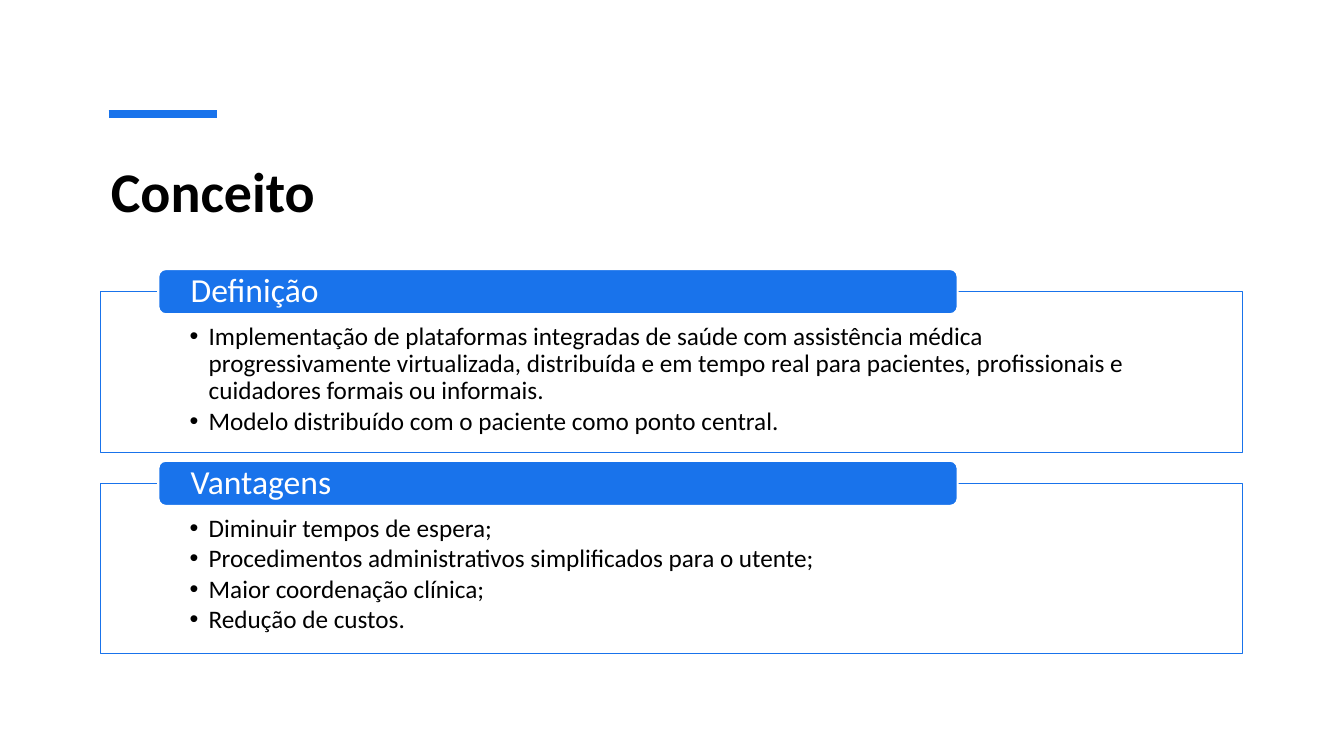
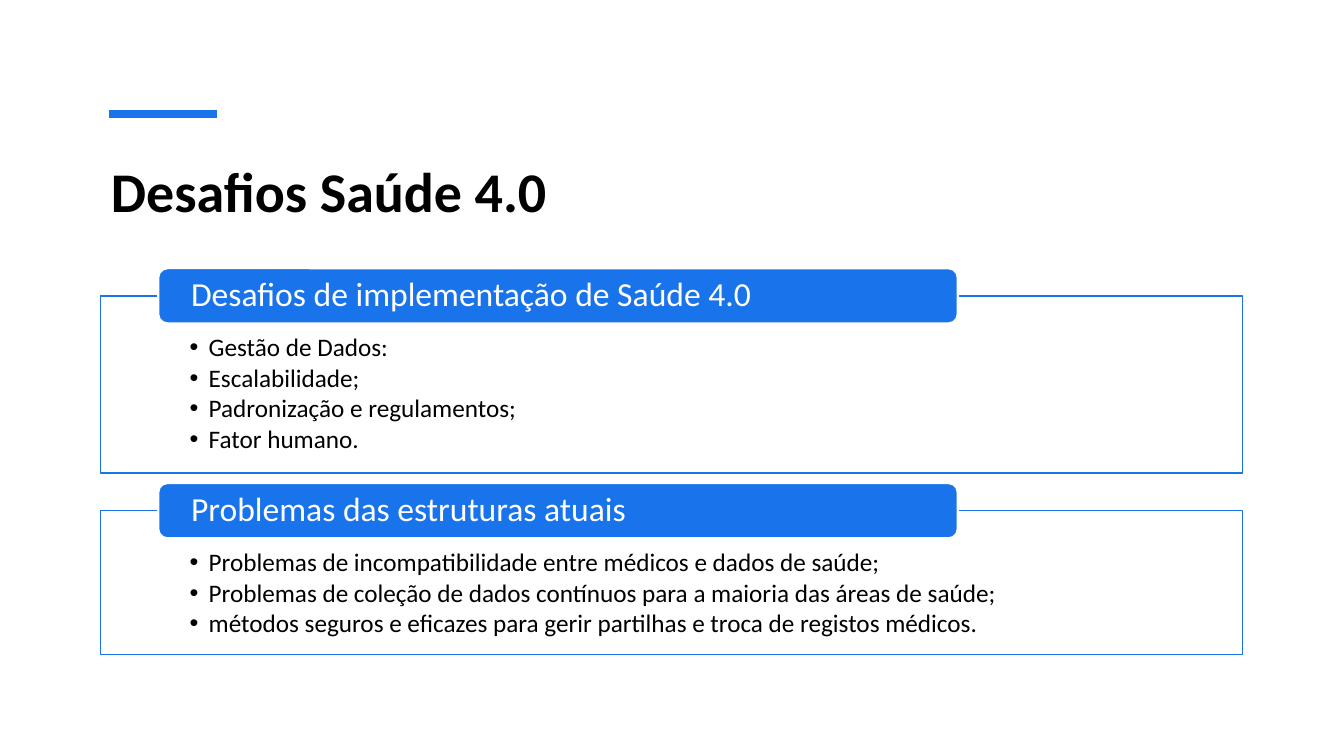
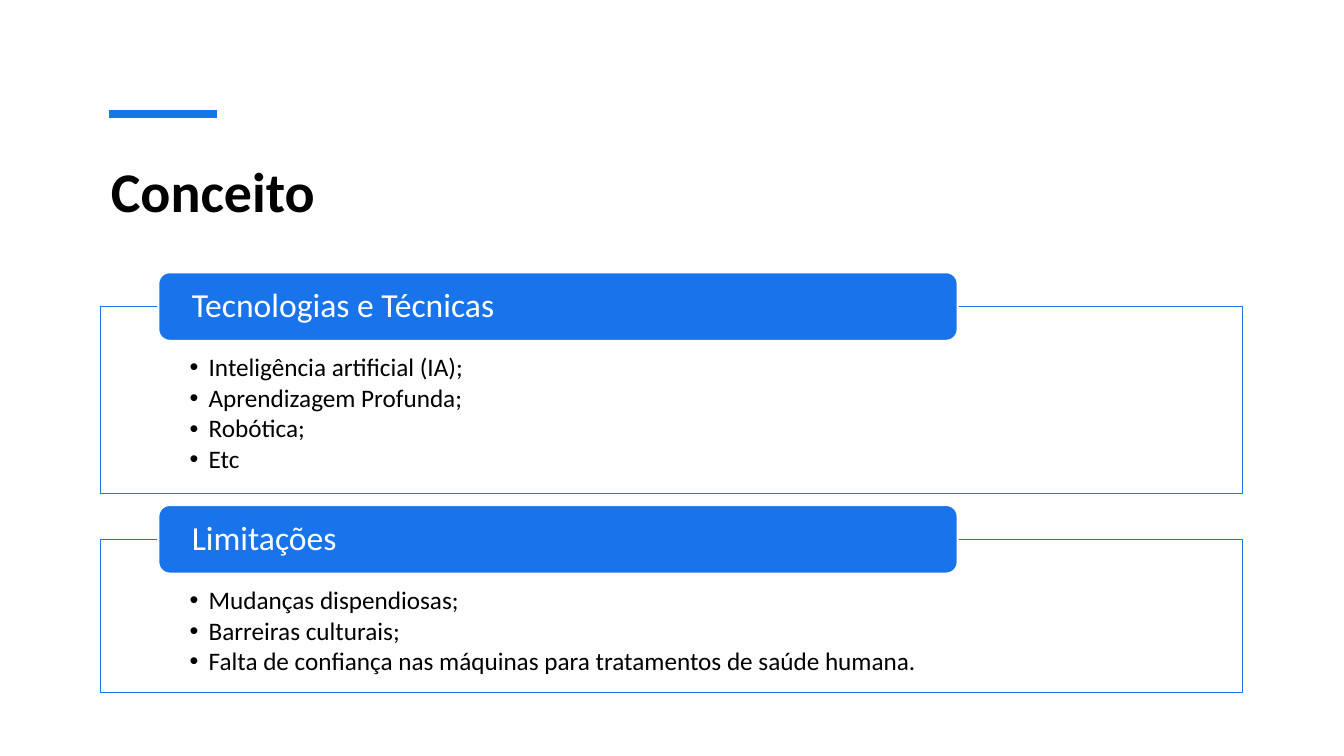
from dataclasses import dataclass

from lxml import etree
from pptx import Presentation
from pptx.dml.color import RGBColor
from pptx.enum.shapes import MSO_CONNECTOR, MSO_SHAPE
from pptx.enum.text import MSO_ANCHOR, PP_ALIGN
from pptx.oxml.ns import qn
from pptx.util import Cm, Pt

RECTANGLE = MSO_SHAPE.RECTANGLE
ROUNDED = MSO_SHAPE.ROUNDED_RECTANGLE
STRAIGHT = MSO_CONNECTOR.STRAIGHT
TOP, MIDDLE = MSO_ANCHOR.TOP, MSO_ANCHOR.MIDDLE
LEFT = PP_ALIGN.LEFT
TITLE_ONLY = 5


@dataclass(frozen=True)
class Theme:
    font: str = "Calibri"
    accent: RGBColor = RGBColor(0x19, 0x73, 0xEB)
    dark: RGBColor = RGBColor(0, 0, 0)
    light: RGBColor = RGBColor(0xFF, 0xFF, 0xFF)
    title_size: int = 40
    heading_size: int = 24
    body_size: int = 18
    line_spacing: float = 0.9
    bullet_gap: float = 2.4


@dataclass(frozen=True)
class Box:
    """An area of the slide, in centimetres."""
    left: float
    top: float
    width: float
    height: float

    def lengths(self):
        return Cm(self.left), Cm(self.top), Cm(self.width), Cm(self.height)


THEME = Theme()
TITLE_BOX = Box(2.54, 3.81, 28.78, 3.66)
ACCENT_BAR = Box(2.74, 2.87, 2.72, 0)

# Each slide: title, top of the first tab, tab height, gap between cards,
# and the cards as (heading, panel height, bullets)
SLIDES = [
    ("Conceito", 6.78, 1.14, 0.21, [
        ("Definição", 4.05, [
            "Implementação de plataformas integradas de saúde com assistência "
            "médica progressivamente virtualizada, distribuída e em tempo real "
            "para pacientes, profissionais e cuidadores formais ou informais.",
            "Modelo distribuído com o paciente como ponto central.",
        ]),
        ("Vantagens", 4.29, [
            "Diminuir tempos de espera;",
            "Procedimentos administrativos simplificados para o utente;",
            "Maior coordenação clínica;",
            "Redução de custos.",
        ]),
    ]),
    ("Desafios Saúde 4.0", 6.76, 1.39, 0.25, [
        ("Desafios de implementação de Saúde 4.0", 4.47, [
            "Gestão de Dados:",
            "Escalabilidade;",
            "Padronização e regulamentos;",
            "Fator humano.",
        ]),
        ("Problemas das estruturas atuais", 3.63, [
            "Problemas de incompatibilidade entre médicos e dados de saúde;",
            "Problemas de coleção de dados contínuos para a maioria das áreas "
            "de saúde;",
            "métodos seguros e eficazes para gerir partilhas e troca de "
            "registos médicos.",
        ]),
    ]),
    ("Conceito", 6.86, 1.73, 0.28, [
        ("Tecnologias e Técnicas", 4.72, [
            "Inteligência artificial (IA);",
            "Aprendizagem Profunda;",
            "Robótica;",
            "Etc",
        ]),
        ("Limitações", 3.86, [
            "Mudanças dispendiosas;",
            "Barreiras culturais;",
            "Falta de confiança nas máquinas para tratamentos de saúde humana.",
        ]),
    ]),
]


def add_span(para, text, size, color, bold=False):
    span = para.add_run()
    span.text = text
    span.font.name = THEME.font
    span.font.size = Pt(size)
    span.font.bold = bold
    span.font.color.rgb = color


def add_bullet(para):
    props = para._p.get_or_add_pPr()
    props.set("marL", str(Cm(0.48)))
    props.set("indent", str(-Cm(0.48)))
    font = etree.SubElement(props, qn("a:buFont"))
    font.set("typeface", "Arial")
    mark = etree.SubElement(props, qn("a:buChar"))
    mark.set("char", "•")


def add_block(page, kind, box, fill, line, line_width, insets, anchor):
    """Add a filled shape that is ready to hold left-aligned text."""
    block = page.shapes.add_shape(kind, *box.lengths())
    block.shadow.inherit = False
    block.fill.solid()
    block.fill.fore_color.rgb = fill
    block.line.color.rgb = line
    block.line.width = Pt(line_width)
    frame = block.text_frame
    frame.word_wrap = True
    frame.vertical_anchor = anchor
    (frame.margin_left, frame.margin_top,
     frame.margin_right, frame.margin_bottom) = map(Cm, insets)
    return block


def add_panel(page, box, tab_height, bullets):
    # The text starts below the half of the tab that covers the panel
    panel = add_block(page, RECTANGLE, box, THEME.light, THEME.accent, 1,
                      (2.24, 0.706 * tab_height, 2.24, 0.36), TOP)
    color = panel.element.spPr.find(qn("a:solidFill"))[0]
    etree.SubElement(color, qn("a:alpha")).set("val", "90000")
    frame = panel.text_frame
    for index, text in enumerate(bullets):
        para = frame.add_paragraph() if index else frame.paragraphs[0]
        para.level = 1
        para.alignment = LEFT
        para.line_spacing = THEME.line_spacing
        para.space_after = Pt(THEME.bullet_gap)
        add_bullet(para)
        add_span(para, text, THEME.body_size, THEME.dark)


def add_tab(page, box, heading):
    tab = add_block(page, ROUNDED, box, THEME.accent, THEME.light, 1.5,
                    (0.76, 0, 0.76, 0), MIDDLE)
    para = tab.text_frame.paragraphs[0]
    para.alignment = LEFT
    para.line_spacing = THEME.line_spacing
    add_span(para, heading, THEME.heading_size, THEME.light)


def add_card(page, box, tab_height, heading, bullets):
    """Place a panel with its tab straddling the top edge."""
    half = tab_height / 2
    panel = Box(box.left, box.top + half, box.width, box.height - half)
    tab = Box(box.left + 1.45, box.top, 0.7 * box.width, tab_height)
    add_panel(page, panel, tab_height, bullets)
    add_tab(page, tab, heading)


def add_title(page, text):
    title = page.shapes.title
    title.left, title.top, title.width, title.height = TITLE_BOX.lengths()
    title.text_frame.vertical_anchor = TOP
    para = title.text_frame.paragraphs[0]
    para.alignment = LEFT
    add_span(para, text, THEME.title_size, THEME.dark, bold=True)


def add_accent_bar(page, box):
    left, top, width, height = box.lengths()
    bar = page.shapes.add_connector(STRAIGHT, left, top,
                                    left + width, top + height)
    bar.line.color.rgb = THEME.accent
    bar.line.width = Pt(6)
    etree.SubElement(bar.element.spPr, qn("a:effectLst"))


def add_card_slide(deck, title, top, tab_height, gap, cards):
    page = deck.slides.add_slide(deck.slide_layouts[TITLE_ONLY])
    add_accent_bar(page, ACCENT_BAR)
    add_title(page, title)
    for heading, panel_height, bullets in cards:
        box = Box(TITLE_BOX.left, top, TITLE_BOX.width,
                  tab_height / 2 + panel_height)
        add_card(page, box, tab_height, heading, bullets)
        top += box.height + gap


def main():
    deck = Presentation()
    deck.slide_width, deck.slide_height = Cm(33.87), Cm(19.05)
    for slide in SLIDES:
        add_card_slide(deck, *slide)
    deck.save("out.pptx")


if __name__ == "__main__":
    main()
